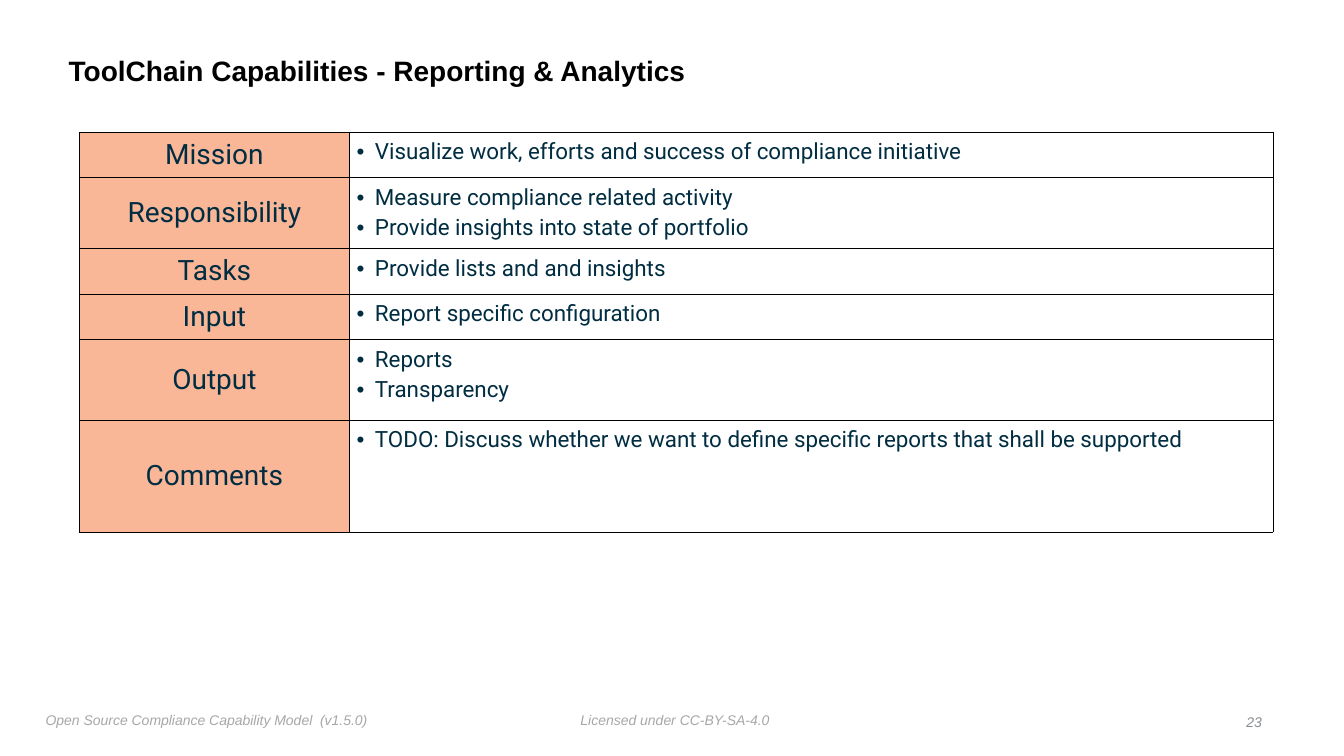
from dataclasses import dataclass

from lxml.etree import SubElement
from pptx import Presentation
from pptx.dml.color import RGBColor
from pptx.enum.text import MSO_ANCHOR, PP_ALIGN
from pptx.oxml.ns import qn
from pptx.util import Cm, Pt


@dataclass(frozen=True)
class Theme:
    heading_font: str = "Arial"
    table_font: str = "Roboto"
    title_color: str = "000000"
    table_text: str = "002D41"
    label_fill: str = "FAB798"
    border: str = "000000"
    footer: str = "A7A7A7"
    page_number: str = "888C91"
    title_size: int = 20
    label_size: int = 20
    detail_size: int = 16
    footer_size: int = 10


THEME = Theme()

CAPABILITY = [
    ("Mission", 1.15, ["Visualize work, efforts and success of compliance initiative"]),
    ("Responsibility", 1.77, ["Measure compliance related activity",
                              "Provide insights into state of portfolio"]),
    ("Tasks", 1.15, ["Provide lists and and insights"]),
    ("Input", 1.15, ["Report specific configuration"]),
    ("Output", 2.03, ["Reports", "Transparency"]),
    ("Comments", 2.82, ["TODO: Discuss whether we want to define specific reports "
                        "that shall be supported"]),
]


def style_font(font, name, size, color, bold=False, italic=False):
    font.name = name
    font.size = Pt(size)
    font.color.rgb = RGBColor.from_string(color)
    font.bold = bold
    font.italic = italic


def set_margins(holder, margin):
    holder.margin_left = holder.margin_right = margin
    holder.margin_top = holder.margin_bottom = margin


def place_title(slide, text):
    title = slide.shapes.title
    title.left, title.top, title.width, title.height = Cm(1.6), Cm(1), Cm(27.3), Cm(1.65)
    frame = title.text_frame
    frame.text = text
    frame.vertical_anchor = MSO_ANCHOR.MIDDLE
    set_margins(frame, Cm(0.13))
    heading = frame.paragraphs[0]
    heading.alignment = PP_ALIGN.LEFT
    heading.line_spacing = 0.9
    style_font(heading.runs[0].font, THEME.heading_font, THEME.title_size,
               THEME.title_color, bold=True)


def add_footer(slide, text, left, top, width, color, alignment=PP_ALIGN.LEFT):
    frame = slide.shapes.add_textbox(Cm(left), Cm(top), Cm(width), Cm(0.64)).text_frame
    frame.text = text
    frame.word_wrap = False
    set_margins(frame, Cm(0.13))
    line = frame.paragraphs[0]
    line.alignment = alignment
    style_font(line.runs[0].font, THEME.heading_font, THEME.footer_size, color, italic=True)


def add_borders(cell):
    properties = cell._tc.get_or_add_tcPr()
    for side in ("a:lnL", "a:lnR", "a:lnT", "a:lnB"):
        edge = SubElement(properties, qn(side), w=str(Pt(0.5)))
        fill = SubElement(edge, qn("a:solidFill"))
        SubElement(fill, qn("a:srgbClr"), val=THEME.border)


def add_bullet(paragraph):
    properties = paragraph._p.get_or_add_pPr()
    properties.set("marL", str(Cm(0.46)))
    properties.set("indent", str(-Cm(0.46)))
    SubElement(properties, qn("a:buFont"), typeface="Arial")
    SubElement(properties, qn("a:buChar"), char="•")


def fill_label(cell, label):
    add_borders(cell)
    cell.fill.solid()
    cell.fill.fore_color.rgb = RGBColor.from_string(THEME.label_fill)
    cell.vertical_anchor = MSO_ANCHOR.MIDDLE
    set_margins(cell, 0)
    cell.text_frame.text = label
    paragraph = cell.text_frame.paragraphs[0]
    paragraph.alignment = PP_ALIGN.CENTER
    style_font(paragraph.runs[0].font, THEME.table_font, THEME.label_size, THEME.table_text)


def fill_details(cell, details):
    add_borders(cell)
    cell.fill.background()
    set_margins(cell, Cm(0.18))
    cell.text_frame.text = "\n".join(details)
    for index, paragraph in enumerate(cell.text_frame.paragraphs):
        add_bullet(paragraph)
        paragraph.space_before = Pt(3 if index else 0)
        style_font(paragraph.runs[0].font, THEME.table_font, THEME.detail_size,
                   THEME.table_text)


def add_capability_table(slide, capability):
    label_width, detail_width = Cm(6.81), Cm(23.27)
    height = Cm(sum(row_height for _, row_height, _ in capability))
    table = slide.shapes.add_table(len(capability), 2, Cm(2), Cm(3.33),
                                   label_width + detail_width, height).table
    table.first_row = table.horz_banding = False
    table.columns[0].width = label_width
    table.columns[1].width = detail_width
    for index, (label, row_height, details) in enumerate(capability):
        table.rows[index].height = Cm(row_height)
        fill_label(table.cell(index, 0), label)
        fill_details(table.cell(index, 1), details)


def main():
    presentation = Presentation()
    presentation.slide_width = Cm(33.87)
    presentation.slide_height = Cm(19.05)
    slide = presentation.slides.add_slide(presentation.slide_layouts[5])

    place_title(slide, "ToolChain Capabilities - Reporting & Analytics")
    add_capability_table(slide, CAPABILITY)
    add_footer(slide, "Open Source Compliance Capability Model  (v1.5.0)",
               1.02, 17.8, 8.43, THEME.footer)
    add_footer(slide, "Licensed under CC-BY-SA-4.0", 14.5, 17.8, 5.05, THEME.footer)
    add_footer(slide, "23", 31.24, 17.85, 0.69, THEME.page_number, PP_ALIGN.RIGHT)

    presentation.save("out.pptx")


if __name__ == "__main__":
    main()
